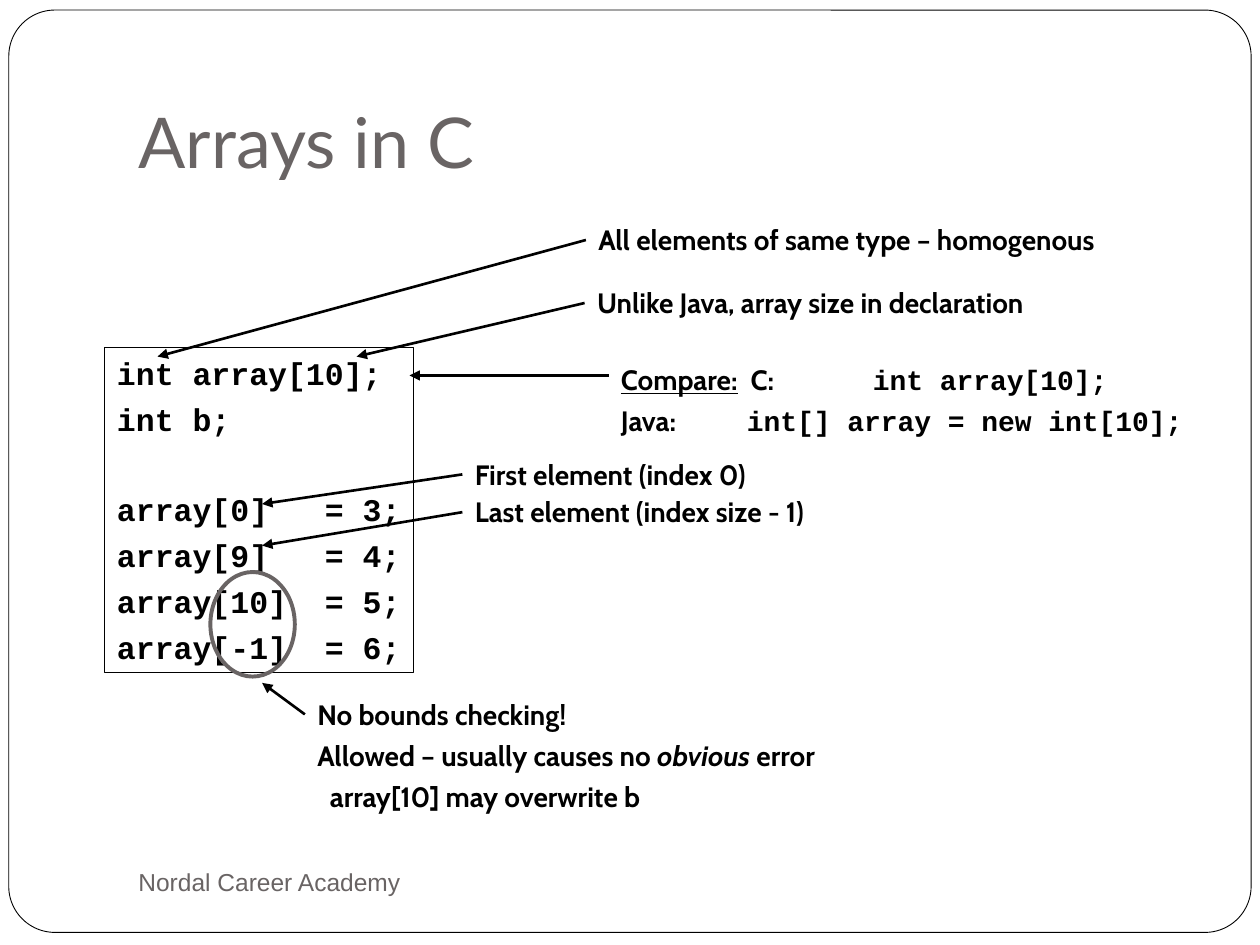
from lxml import etree
from pptx import Presentation
from pptx import util as u
from pptx.dml.color import RGBColor
from pptx.enum import shapes, text
from pptx.oxml import ns

BLACK, GREY, WHITE = "000000", "696464", "FFFFFF"
NOTE = {"name": "Cabin", "size": u.Pt(16), "bold": True}
CODE = {"name": "Courier New", "size": u.Pt(18), "bold": True}
NOTE_CODE = {**NOTE, "name": "Courier New"}
TITLE = {"name": "Lato", "size": u.Pt(40), "bold": False}
FOOTER = {"name": "Arial", "size": u.Pt(14), "bold": False}


def colour(value):
    return RGBColor.from_string(value)


def apply(target, values):
    for key, value in values.items():
        setattr(target, key, value)


def inches(*values):
    return [u.Inches(value) for value in values]


class SlideBuilder:
    def __init__(self, slide):
        self.slide = slide

    def fill_text(self, frame, paragraphs, font, ink=BLACK, gap=0):
        for index, content in enumerate(paragraphs):
            paragraph = frame.paragraphs[0] if index == 0 else frame.add_paragraph()
            apply(paragraph, {"alignment": text.PP_ALIGN.LEFT, "space_before": u.Pt(gap)})
            runs = [(content, {})] if isinstance(content, str) else content
            for words, changes in runs:
                run = paragraph.add_run()
                run.text = words
                apply(run.font, {**font, **changes})
                run.font.color.rgb = colour(ink)

    def tabs(self, paragraph, *stops):
        tab_list = etree.SubElement(paragraph._p.get_or_add_pPr(), ns.qn("a:tabLst"))
        for stop in stops:
            etree.SubElement(tab_list, ns.qn("a:tab"), pos=str(u.Inches(stop)), algn="l")

    def title(self, words, place):
        title = self.slide.shapes.title
        apply(title, dict(zip(("left", "top", "width", "height"), inches(*place))))
        apply(title.text_frame, {
            "vertical_anchor": text.MSO_ANCHOR.BOTTOM,
            "auto_size": text.MSO_AUTO_SIZE.NONE,
            "margin_bottom": u.Inches(0.1),
        })
        self.fill_text(title.text_frame, [words], TITLE, GREY)

    def label(self, paragraphs, place, font=NOTE, ink=BLACK, gap=0, fit=True):
        label = self.slide.shapes.add_textbox(*inches(*place))
        if fit:
            self.fit(label.text_frame)
        else:
            apply(label.text_frame, {
                "word_wrap": True,
                "vertical_anchor": text.MSO_ANCHOR.MIDDLE,
            })
        self.fill_text(label.text_frame, paragraphs, font, ink, gap)
        return label

    def fit(self, frame):
        apply(frame, {
            "word_wrap": False,
            "auto_size": text.MSO_AUTO_SIZE.SHAPE_TO_FIT_TEXT,
            "vertical_anchor": text.MSO_ANCHOR.TOP,
        })

    def outline(self, kind, place, ink, weight, fill=None):
        outline = self.slide.shapes.add_shape(kind, *inches(*place))
        outline.shadow.inherit = False
        if fill:
            outline.fill.solid()
            outline.fill.fore_color.rgb = colour(fill)
        else:
            outline.fill.background()
        outline.line.color.rgb = colour(ink)
        outline.line.width = u.Pt(weight)
        return outline

    def arrow(self, start, end, source=None):
        arrow = self.slide.shapes.add_connector(
            shapes.MSO_CONNECTOR.STRAIGHT, *inches(*start, *end))
        if source is not None:
            arrow.begin_connect(source, 1)
        arrow.line.color.rgb = colour(BLACK)
        arrow.line.width = u.Pt(1.5)
        line = arrow._element.spPr.find(ns.qn("a:ln"))
        etree.SubElement(line, ns.qn("a:tailEnd"), type="triangle")
        etree.SubElement(arrow._element.spPr, ns.qn("a:effectLst"))


def main():
    deck = Presentation()
    apply(deck, {"slide_width": u.Inches(10), "slide_height": u.Inches(7.5)})
    builder = SlideBuilder(deck.slides.add_slide(deck.slide_layouts[5]))

    frame = builder.outline(shapes.MSO_SHAPE.ROUNDED_RECTANGLE,
                            (0.07, 0.08, 9.86, 7.32), BLACK, 0.5, WHITE)
    frame.adjustments[0] = 0.05
    tree = builder.slide.shapes._spTree
    tree.remove(frame._element)
    tree.insert(2, frame._element)
    builder.title("Arrays in C", (1, 0.3, 8.5, 1.25))
    builder.label(["Nordal Career Academy"], (1, 6.75, 4.33, 0.5), FOOTER, GREY, fit=False)

    code = builder.outline(shapes.MSO_SHAPE.RECTANGLE, (0.83, 2.76, 2.45, 2.58), BLACK, 0.75)
    builder.fit(code.text_frame)
    assignments = [f"array[{index}]\t= {value};"
                   for index, value in ((0, 3), (9, 4), (10, 5), (-1, 6))]
    builder.fill_text(code.text_frame, ["int array[10];", "int b;", *assignments], CODE, gap=4.7)
    assignment_lines = code.text_frame.paragraphs[2:]
    assignment_lines[0].space_before = u.Pt(30)
    for line in assignment_lines:
        builder.tabs(line, 1.65)

    remarks = (
        ("All elements of same type – homogenous", (4.65, 1.72, 4.8, 0.37), (1.25, 2.83)),
        ("Unlike Java, array size in declaration", (4.64, 2.22, 4.31, 0.37), (2.83, 2.83)),
        ("First element (index 0)", (3.67, 3.58, 2.77, 0.37), (2.08, 4)),
        ("Last element (index size - 1)", (3.67, 3.88, 3.39, 0.37), (2.08, 4.33)),
    )
    for words, place, target in remarks:
        remark = builder.label([words], place)
        builder.arrow(place[:2], target, remark)

    comparison = builder.label([
        [("Compare:", {"underline": True}), ("\tC:", {}), ("\tint array[10];", NOTE_CODE)],
        [("Java:", {}), ("\tint[] array = new int[10];", NOTE_CODE)],
    ], (4.83, 2.83, 4.68, 0.69), gap=4)
    for line, stops in zip(comparison.text_frame.paragraphs, ((1.03, 2), (1,))):
        builder.tabs(line, *stops)
    builder.arrow((4.83, 2.98), (3.25, 2.98))

    bounds = builder.label([
        "No bounds checking!",
        [("Allowed – usually causes no ", {}), ("obvious", {"italic": True}), (" error", {})],
        "array[10] may overwrite b",
    ], (2.42, 5.49, 4.94, 1.02), gap=4)
    bounds.text_frame.paragraphs[2]._p.get_or_add_pPr().set("marL", str(u.Inches(0.1)))
    builder.arrow((2.42, 5.67), (2.08, 5.42))
    builder.outline(shapes.MSO_SHAPE.OVAL, (1.67, 4.54, 0.67, 0.83), GREY, 2.25)

    deck.save("out.pptx")


if __name__ == "__main__":
    main()
